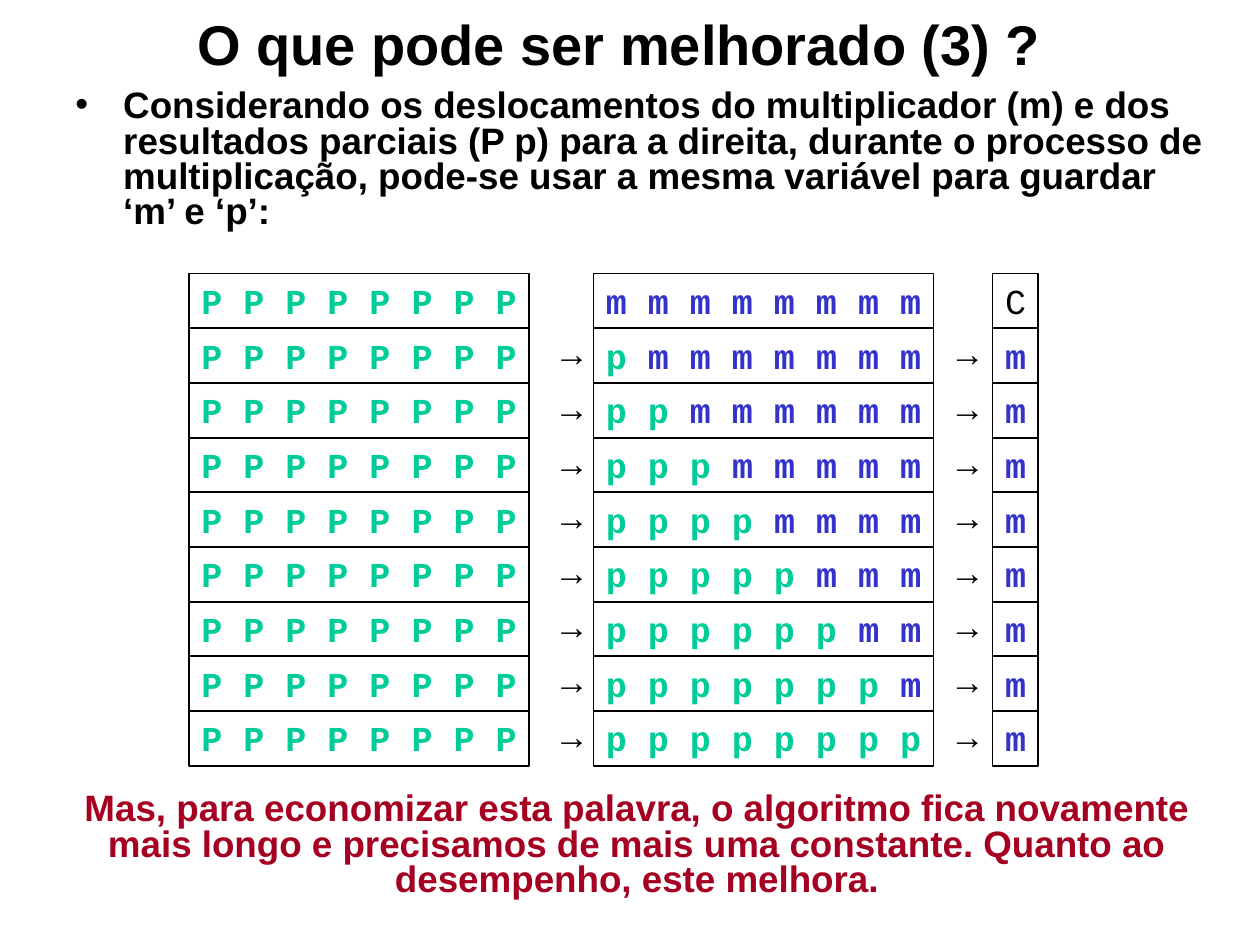
from lxml import etree
from pptx import Presentation
from pptx.dml.color import RGBColor
from pptx.enum.shapes import MSO_SHAPE
from pptx.enum.text import MSO_ANCHOR, PP_ALIGN
from pptx.oxml.ns import qn
from pptx.util import Inches, Pt

RECTANGLE = MSO_SHAPE.RECTANGLE
TOP, MIDDLE = MSO_ANCHOR.TOP, MSO_ANCHOR.MIDDLE
LEFT, CENTER = PP_ALIGN.LEFT, PP_ALIGN.CENTER

BLACK, GREEN, BLUE, RED = "000000", "00CC99", "3333CC", "A50021"
TITLE = "O que pode ser melhorado (3) ?"
BODY = (
    "Considerando os deslocamentos do multiplicador (m) e dos resultados "
    "parciais (P p) para a direita, durante o processo de multiplicação, "
    "pode-se usar a mesma variável para guardar ‘m’ e ‘p’:"
)
CLOSING = (
    "Mas, para economizar esta palavra, o algoritmo fica novamente mais longo "
    "e precisamos de mais uma constante. Quanto ao desempenho, este melhora."
)
BITS = 8
ARROW = "→"

HIGH_LEFT, LOW_LEFT, CARRY_LEFT = 1.5, 4.71, 7.88
ARROW_LEFTS = (4.3, 7.44)
WORD_WIDTH, CARRY_WIDTH, ARROW_WIDTH = 2.7, 0.36, 0.42
FIRST_TOP, LAST_TOP, ROW_HEIGHT = 2.17, 5.64, 0.44
ROW_STEP = (LAST_TOP - FIRST_TOP) / BITS


def color(value):
    return RGBColor.from_string(value)


def write(box, runs, size, font="Arial", bold=True, align=LEFT, spacing=1.0, anchor=TOP):
    box.text_frame.vertical_anchor = anchor
    para = box.text_frame.paragraphs[0]
    para.alignment = align
    para.line_spacing = spacing
    for text, tint in runs:
        span = para.add_run()
        span.text = text
        span.font.name = font
        span.font.size = Pt(size)
        span.font.bold = bold
        span.font.color.rgb = color(tint)
    return para


def add_text(page, left, top, width, height):
    box = page.shapes.add_textbox(Inches(left), Inches(top), Inches(width), Inches(height))
    box.text_frame.word_wrap = True
    return box


def add_cell(page, left, top, width, runs, bold=True):
    cell = page.shapes.add_shape(
        RECTANGLE, Inches(left), Inches(top), Inches(width), Inches(ROW_HEIGHT)
    )
    cell.shadow.inherit = False
    cell.fill.background()
    cell.line.color.rgb = color(BLACK)
    cell.line.width = Pt(0.75)
    cell.text_frame.word_wrap = False
    write(cell, runs, 20, font="Courier New", bold=bold)


def add_bullet(para):
    properties = para._p.get_or_add_pPr()
    properties.set("marL", str(Inches(0.38)))
    properties.set("indent", str(Inches(-0.38)))
    etree.SubElement(properties, qn("a:buFont"), typeface="Arial")
    etree.SubElement(properties, qn("a:buChar"), char="•")


def low_word(shift):
    product = " ".join("p" * shift)
    multiplier = " ".join("m" * (BITS - shift))
    if product and multiplier:
        multiplier = " " + multiplier
    return [(text, tint) for text, tint in ((product, GREEN), (multiplier, BLUE)) if text]


def add_register_row(page, shift):
    top = FIRST_TOP + shift * ROW_STEP
    add_cell(page, HIGH_LEFT, top, WORD_WIDTH, [(" ".join("P" * BITS), GREEN)])
    add_cell(page, LOW_LEFT, top, WORD_WIDTH, low_word(shift))
    carry = ("m", BLUE) if shift else ("C", BLACK)
    add_cell(page, CARRY_LEFT, top, CARRY_WIDTH, [carry], bold=shift > 0)
    if shift:
        for left in ARROW_LEFTS:
            box = add_text(page, left, top - 0.02, ARROW_WIDTH, ROW_HEIGHT)
            write(box, [(ARROW, BLACK)], 20, bold=False)


def main():
    deck = Presentation()
    deck.slide_width, deck.slide_height = Inches(10), Inches(7.5)
    page = deck.slides.add_slide(deck.slide_layouts[6])

    title = add_text(page, 0.29, 0.15, 9.25, 0.52)
    write(title, [(TITLE, BLACK)], 32, align=CENTER, spacing=0.7, anchor=MIDDLE)

    body = add_text(page, 0.5, 0.67, 9.23, 1.33)
    add_bullet(write(body, [(BODY, BLACK)], 21, spacing=0.8))

    for shift in range(BITS + 1):
        add_register_row(page, shift)

    closing = add_text(page, 0.44, 6.25, 9.23, 1.25)
    write(closing, [(CLOSING, RED)], 21, align=CENTER, spacing=0.8)

    deck.save("out.pptx")


if __name__ == "__main__":
    main()
